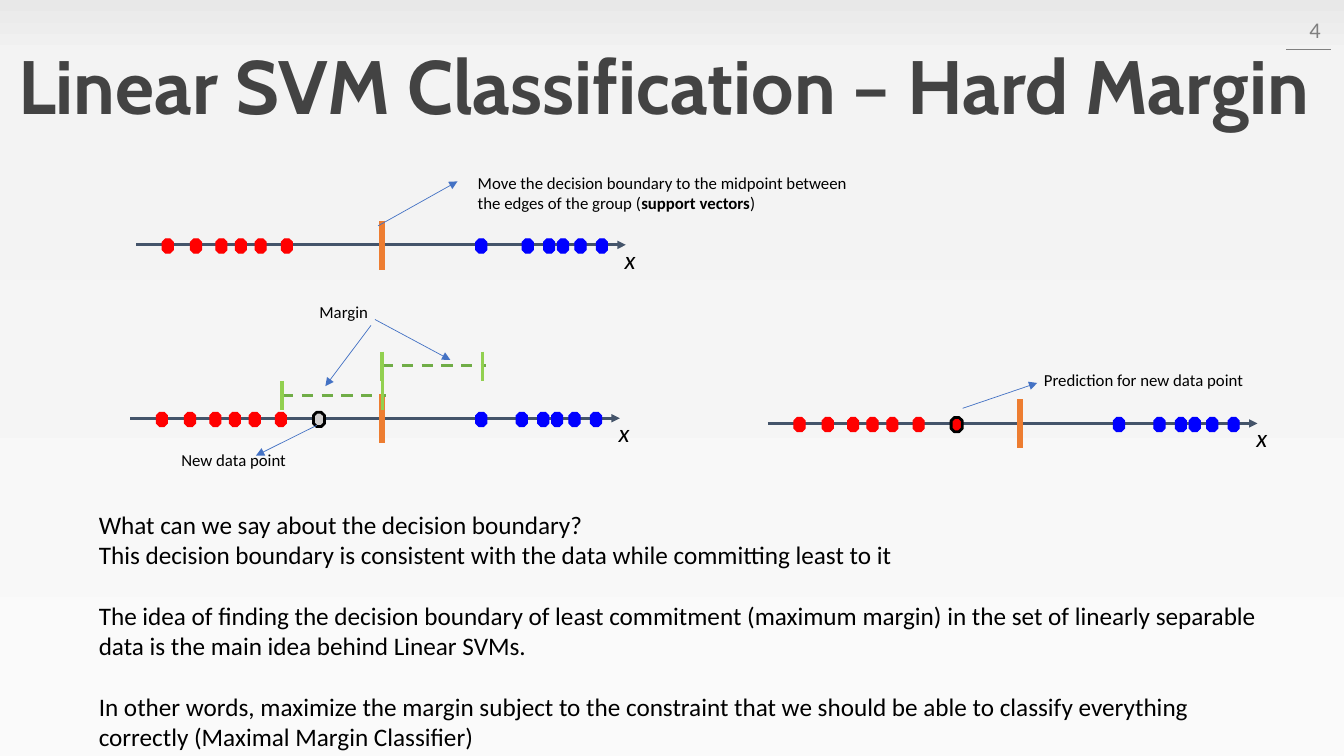
from lxml import etree
from pptx import Presentation
from pptx.dml.color import RGBColor
from pptx.enum.dml import MSO_LINE
from pptx.enum.shapes import MSO_CONNECTOR, MSO_SHAPE
from pptx.enum.text import MSO_ANCHOR, PP_ALIGN
from pptx.oxml.ns import qn
from pptx.util import Cm, Pt

STRAIGHT = MSO_CONNECTOR.STRAIGHT
OCTAGON = MSO_SHAPE.OCTAGON
DASH = MSO_LINE.DASH
TOP, MIDDLE = MSO_ANCHOR.TOP, MSO_ANCHOR.MIDDLE
LEFT, CENTER, RIGHT = PP_ALIGN.LEFT, PP_ALIGN.CENTER, PP_ALIGN.RIGHT

COLORS = {
    "black": "000000", "red": "FF0000", "blue": "0000FF", "new": "D0CECE",
    "title": "434343", "gray": "808080", "axis": "44546A", "bound": "ED7D31",
    "arrow": "4472C4", "dash": "70AD47", "tick": "92D050",
}
BACK = [(0, "FAFAFA"), (84, "F3F3F3"), (94, "F0F0F0"), (100, "E8E8E8")]

# Offsets in cm from the start of an axis
REDS = [0.66, 1.37, 2.01, 2.5, 3, 3.66]
BLUES = [9.73, 10.27, 10.62, 11.06, 11.6]
NEW_DOT = 4.62


def color(name):
    return RGBColor.from_string(COLORS[name])


class Board:
    """Style and drawing methods for one slide."""

    font = "Calibri"

    def __init__(self, slide):
        self.slide = slide
        self.shapes = slide.shapes

    def back(self, stops):
        """Fill the background with a gradient running upwards."""
        fill = self.slide.background.fill
        fill.gradient()
        fill.gradient_angle = 90
        items = next(self.slide.element.iter(qn("a:gsLst")))
        for item in list(items):
            items.remove(item)
        for pos, tone in stops:
            stop = etree.SubElement(items, qn("a:gs"), pos=str(pos * 1000))
            etree.SubElement(stop, qn("a:srgbClr"), val=tone)

    def text(self, box, paras, size=12, tone="black", font=None, bold=False,
             italic=False, align=LEFT, anchor=TOP, lines=None):
        """Each paragraph is (space before, [(words, bold), ...])."""
        frame = self.shapes.add_textbox(*map(Cm, box)).text_frame
        frame.word_wrap = True
        frame.vertical_anchor = anchor
        for i, (gap, runs) in enumerate(paras):
            para = frame.add_paragraph() if i else frame.paragraphs[0]
            para.alignment = align
            if gap:
                para.space_before = Pt(gap)
            if lines:
                para.line_spacing = lines
            para.font.name = font or self.font
            para.font.size = Pt(size)
            para.font.bold = bold
            para.font.italic = italic
            para.font.color.rgb = color(tone)
            for words, strong in runs:
                run = para.add_run()
                run.text = words
                if strong:
                    run.font.bold = True

    def label(self, box, words, **style):
        self.text(box, [(0, [(words, False)])], **style)

    def line(self, start, end, tone, width, arrow=False, dash=None):
        link = self.shapes.add_connector(STRAIGHT, *map(Cm, start + end))
        link.line.color.rgb = color(tone)
        link.line.width = Pt(width)
        if dash:
            link.line.dash_style = dash
        props = link.element.spPr
        if arrow:
            etree.SubElement(props.find(qn("a:ln")), qn("a:tailEnd"),
                             type="triangle")
        etree.SubElement(props, qn("a:effectLst"))

    def point(self, start, end):
        """Thin arrow between a label and what it names."""
        self.line(start, end, "arrow", 0.5, arrow=True)

    def dot(self, x, y, fill, edge=None, width=0.75):
        shape = self.shapes.add_shape(OCTAGON, Cm(x), Cm(y - 0.15),
                                      Cm(0.28), Cm(0.36))
        shape.shadow.inherit = False
        shape.fill.solid()
        shape.fill.fore_color.rgb = color(fill)
        shape.line.color.rgb = color(edge or fill)
        shape.line.width = Pt(width)

    def axis(self, x, y, mid=6.35, new=None):
        """Number line with both groups, the boundary and any new point."""
        self.line((x, y), (x + 12.34, y), "axis", 2, arrow=True)
        for tone, spots in (("red", REDS), ("blue", [mid + 2.36] + BLUES)):
            for spot in spots:
                self.dot(x + spot, y, tone)
        self.label((x + 12.06, y - 0.15, 1.42, 1.42), "x", size=18,
                   italic=True)
        self.line((x + mid, y - 0.61), (x + mid, y + 0.63), "bound", 4.25)
        if new:
            self.dot(x + NEW_DOT, y, new, "black", 2)

    def margin(self, x, y):
        """Dashed span closed by a tick at each end."""
        self.line((x, y), (x + 2.62, y), "dash", 2, dash=DASH)
        for tick in (x, x + 2.53):
            self.line((tick, y - 0.36), (tick, y + 0.37), "tick", 2.75)


def main():
    deck = Presentation()
    deck.slide_width, deck.slide_height = Cm(33.87), Cm(19.05)
    board = Board(deck.slides.add_slide(deck.slide_layouts[6]))
    board.back(BACK)

    board.line((32.41, 1.24), (33.53, 1.24), "gray", 1)
    board.label((0, 0.74, 33.87, 3.05),
                "Linear SVM Classification – Hard Margin ", size=54,
                tone="title", font="Cabin", bold=True, align=CENTER,
                anchor=MIDDLE, lines=0.9)
    board.label((32.11, 0.23, 1.42, 1.02), "4", size=16, tone="gray",
                align=RIGHT, anchor=MIDDLE)

    board.axis(3.43, 6.17, mid=6.2)
    board.point((9.53, 5.69), (11.53, 4.57))
    board.text((11.79, 4.22, 10.39, 1.27), [(0, [
        ("Move the decision boundary to the midpoint between the edges "
         "of the group (", False),
        ("support vectors", True), (")", False)])])

    board.axis(3.28, 10.54, new="new")
    board.point((7.98, 10.72), (6.45, 11.48))
    board.label((4.32, 11.2, 5.64, 0.76), "New data point")

    board.axis(19.35, 10.67, new="red")
    board.point((24.26, 10.29), (26.14, 9.65))
    board.label((26.06, 9.19, 5.64, 0.76), "Prediction for new data point")

    board.margin(7.11, 9.96)
    board.margin(9.63, 9.22)
    board.point((9.45, 8.05), (11.35, 9.07))
    board.point((9.35, 8.2), (8.2, 9.73))
    board.label((7.8, 7.49, 5.64, 0.76), "Margin")

    notes = [
        (0, "What can we say about the decision boundary?"),
        (0, "This decision boundary is consistent with the data while "
            "committing least to it"),
        (22, "The idea of finding the decision boundary of least commitment "
             "(maximum margin) in the set of linearly separable data is the "
             "main idea behind Linear SVMs."),
        (22, "In other words, maximize the margin subject to the constraint "
             "that we should be able to classify everything correctly "
             "(Maximal Margin Classifier)"),
    ]
    board.text((2.24, 12.7, 30.25, 6.4),
               [(gap, [(words, False)]) for gap, words in notes], size=18)

    deck.save("out.pptx")


if __name__ == "__main__":
    main()
